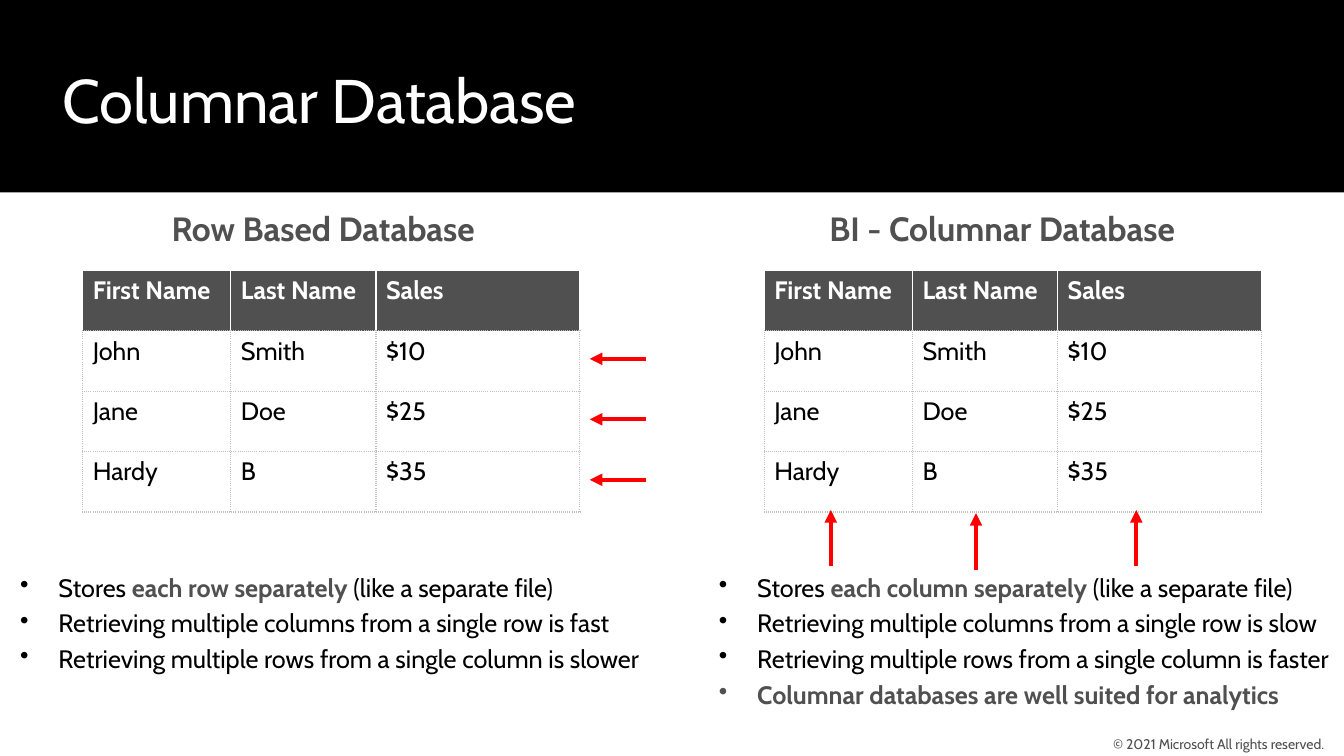
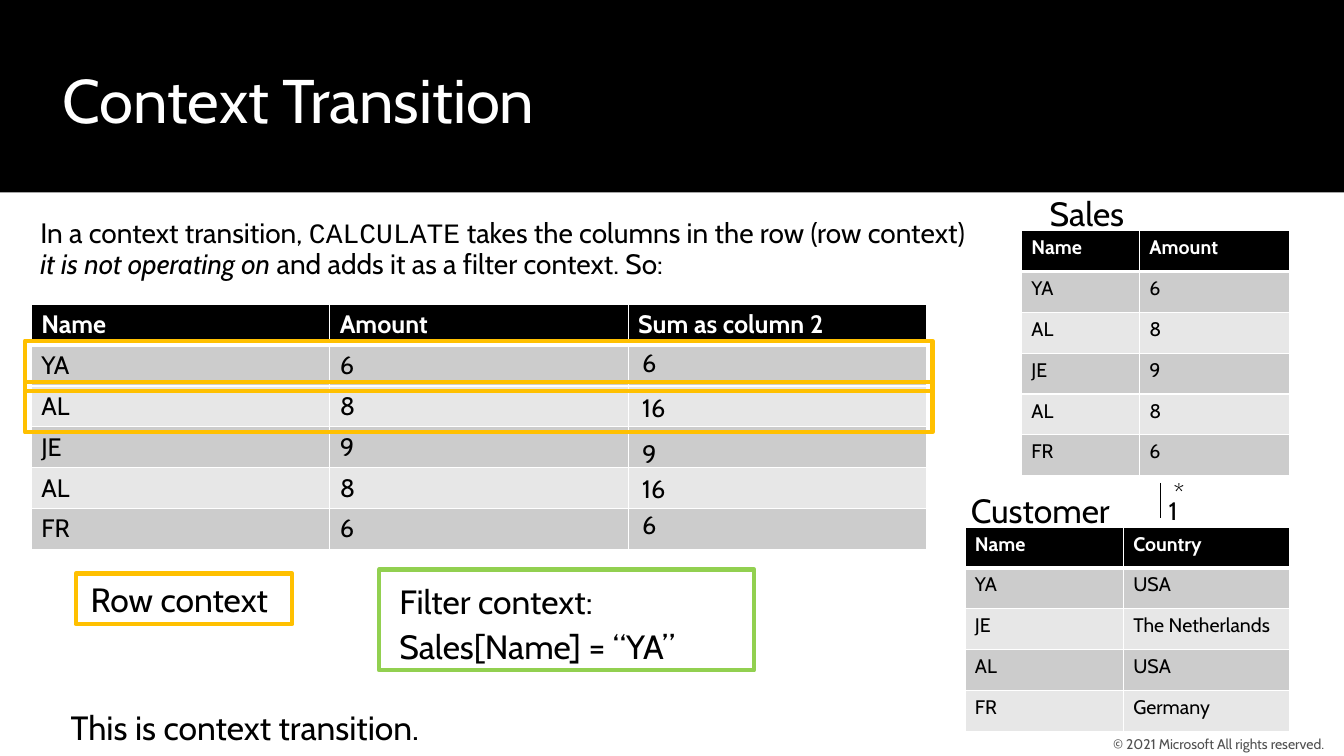
import pptx
import pptx.dml.color
import pptx.enum.shapes
import pptx.enum.text
import pptx.oxml
import pptx.oxml.ns
import pptx.util
from lxml import etree

Inches = pptx.util.Inches
RGBColor = pptx.dml.color.RGBColor
ALIGN = pptx.enum.text.PP_ALIGN
ANCHOR = pptx.enum.text.MSO_ANCHOR
qn = pptx.oxml.ns.qn

BLACK = RGBColor(0x00, 0x00, 0x00)
WHITE = RGBColor(0xFF, 0xFF, 0xFF)
GREY = RGBColor(0x50, 0x50, 0x50)
DOTTED_GREY = RGBColor(0xBF, 0xBF, 0xBF)
DARK_STRIPE = RGBColor(0xCC, 0xCC, 0xCC)
LIGHT_STRIPE = RGBColor(0xE7, 0xE7, 0xE7)
RED = RGBColor(0xFF, 0x00, 0x00)
AMBER = RGBColor(0xFF, 0xC0, 0x00)
GREEN = RGBColor(0x92, 0xD0, 0x50)

FONT = "Cabin"
CODE_FONT = "Courier New"
FOOTER = "© 2021 Microsoft All rights reserved."
STRONG = {"color": GREY, "bold": True}
PADDING = (0.2, 0.16, 0.2, 0.16)
BODY = {"insets": PADDING, "line_spacing": 0.9, "space_after": 6}

PEOPLE = [
    ("First Name", "Last Name", "Sales"),
    ("John", "Smith", "$10"),
    ("Jane", "Doe", "$25"),
    ("Hardy", "B", "$35"),
]
PEOPLE_COLUMNS = (1.47, 1.44, 2.02)
PEOPLE_ROW = 0.6
DATABASES = [
    {
        "heading": "Row Based Database", "heading_at": (0, 1.95, 6.41, 0.69),
        "table_left": 0.82, "list_at": (0, 5.55, 6.72, 1.58),
        "points": [
            [("Stores ", {}), ("each row separately ", STRONG), ("(like a separate file)", {})],
            "Retrieving multiple columns from a single row is fast",
            "Retrieving multiple rows from a single column is slower",
        ],
    },
    {
        "heading": "BI - Columnar Database", "heading_at": (7.39, 1.95, 5.1, 0.69),
        "table_left": 7.58, "list_at": (6.93, 5.55, 6.72, 1.94),
        "points": [
            [("Stores ", {}), ("each column separately ", STRONG), ("(like a separate file)", {})],
            "Retrieving multiple columns from a single row is slow",
            "Retrieving multiple rows from a single column is faster",
            [("Columnar databases are well suited for analytics", STRONG)],
        ],
    },
]
COLUMN_ARROWS = [(8.24, 5.06), (9.68, 5.09), (11.27, 5.06)]
ARROW_LENGTH = 0.56

SALES = [("Name", "Amount"), ("YA", "6"), ("AL", "8"), ("JE", "9"), ("AL", "8"), ("FR", "6")]
CUSTOMERS = [("Name", "Country"), ("YA", "USA"), ("JE", "The Netherlands"),
             ("AL", "USA"), ("FR", "Germany")]
SALES_SUMS = [("Name", "Amount", "Sum as column 2")] + [(*row, "") for row in SALES[1:]]
STRIPED_TABLES = [
    (SALES, (10.13, 2.29), (1.17, 1.49), 14),
    (CUSTOMERS, (9.57, 5.23), (1.57, 1.65), 14),
    (SALES_SUMS, (0.31, 3.02), (2.96, 2.96, 2.96), 18),
]
STRIPED_ROW = 2.43 / len(SALES)
INTRO = [[
    ("In a context transition, ", {}),
    ("CALCULATE", {"font": CODE_FONT}),
    (" takes the columns in the row (row context) ", {}),
    ("it is not operating on ", {"italic": True}),
    ("and adds it as a filter context. So:", {}),
]]
AMBER_FRAMES = [(0.25, 3.38, 9, 0.5), (0.25, 3.79, 9, 0.5), (0.75, 5.69, 2.15, 0.5)]
LABELS = [
    (["*"], (11.44, 4.63, 1, 0.6), 18),
    (["1"], (11.39, 4.81, 1, 0.6), 18),
    (["Sales"], (10.21, 1.8, 1.5, 0.6), 24),
    (["Customer"], (9.43, 4.75, 2, 0.6), 24),
    (["Row context"], (0.7, 5.63, 2.5, 0.6), 24),
    (["6"], (6.17, 3.34, 1, 0.6), 18),
    (["16"], (6.17, 3.79, 1, 0.6), 18),
    (["9", "16", "6"], (6.17, 4.22, 1, 1.4), 18),
    (["This is context transition."], (0.5, 6.9, 4.5, 0.6), 24),
]


def write_text(frame, paragraphs, size=18, color=BLACK, bold=False, align=ALIGN.LEFT,
               anchor=ANCHOR.TOP, insets=(0.1, 0.05, 0.1, 0.05), line_spacing=None,
               space_after=None, bullet=False):
    frame.word_wrap = True
    frame.vertical_anchor = anchor
    (frame.margin_left, frame.margin_top,
     frame.margin_right, frame.margin_bottom) = map(Inches, insets)
    for index, content in enumerate(paragraphs):
        para = frame.add_paragraph() if index else frame.paragraphs[0]
        para.alignment = align
        if line_spacing:
            para.line_spacing = line_spacing
        if space_after:
            para.space_after = pptx.util.Pt(space_after)
        if bullet:
            properties = para._p.get_or_add_pPr()
            properties.set("marL", str(Inches(0.38)))
            properties.set("indent", str(Inches(-0.38)))
            etree.SubElement(properties, qn("a:buChar")).set("char", "•")
        for text, style in [(content, {})] if isinstance(content, str) else content:
            span = para.add_run()
            span.text = text
            span.font.name = style.get("font", FONT)
            span.font.size = pptx.util.Pt(size)
            span.font.bold = style.get("bold", bold)
            span.font.italic = style.get("italic", False)
            span.font.color.rgb = style.get("color", color)


def add_text(page, at, paragraphs, **text_format):
    box = page.shapes.add_textbox(*map(Inches, at))
    write_text(box.text_frame, paragraphs, **text_format)


def add_rectangle(page, at, fill=None, line=None):
    box = page.shapes.add_shape(pptx.enum.shapes.MSO_SHAPE.RECTANGLE, *map(Inches, at))
    box.shadow.inherit = False
    if fill is None:
        box.fill.background()
    else:
        box.fill.solid()
        box.fill.fore_color.rgb = fill
    if line is None:
        box.line.fill.background()
    else:
        box.line.color.rgb = line
        box.line.width = pptx.util.Pt(3)
    return box


def add_line(page, start, end, color, width, arrow=False):
    line = page.shapes.add_connector(
        pptx.enum.shapes.MSO_CONNECTOR.STRAIGHT, *map(Inches, (*start, *end)))
    line.line.color.rgb = color
    line.line.width = pptx.util.Pt(width)
    if arrow:
        etree.SubElement(line.line._get_or_add_ln(), qn("a:tailEnd")).set("type", "triangle")
    etree.SubElement(line._element.spPr, qn("a:effectLst"))


def set_borders(cell, borders):
    properties = cell._tc.get_or_add_tcPr()
    for index, (side, (color, width, dash)) in enumerate(zip("LRTB", borders)):
        edge = etree.Element(qn("a:ln" + side), w=str(pptx.util.Pt(width)))
        fill = etree.SubElement(edge, qn("a:solidFill"))
        etree.SubElement(fill, qn("a:srgbClr")).set("val", str(color))
        etree.SubElement(edge, qn("a:prstDash")).set("val", dash)
        properties.insert(index, edge)


def add_table(page, rows, position, columns, row_height, size, header_fill,
              stripes, body_border, header_bottom):
    extent = (sum(columns), row_height * len(rows))
    table = page.shapes.add_table(
        len(rows), len(columns), *map(Inches, (*position, *extent))).table
    table.horz_banding = False
    for column, width in zip(table.columns, columns):
        column.width = Inches(width)
    white_border = (WHITE, 1, "solid")
    for row_index, row in enumerate(rows):
        header = row_index == 0
        table.rows[row_index].height = Inches(row_height)
        for column_index, text in enumerate(row):
            cell = table.cell(row_index, column_index)
            cell.fill.solid()
            cell.fill.fore_color.rgb = header_fill if header else stripes[(row_index - 1) % 2]
            top = header_bottom if row_index == 1 else body_border
            set_borders(cell, [white_border] * 3 + [header_bottom] if header
                        else [body_border] * 2 + [top, body_border])
            if text:
                write_text(cell.text_frame, [text], size=size, bold=header,
                           color=WHITE if header else BLACK)


def add_page(deck, title):
    page = deck.slides.add_slide(deck.slide_layouts[6])
    add_rectangle(page, (0, 0, 13.33, 1.91), fill=BLACK)
    add_text(page, (0.52, 0.57, 11.22, 0.84), [title], size=44, color=WHITE)
    add_text(page, (10.58, 7.26, 3.11, 0.24), [FOOTER], size=10, color=GREY,
             align=ALIGN.CENTER, anchor=ANCHOR.MIDDLE, insets=(0, 0, 0.1, 0))
    return page


def build_columnar_database(deck):
    page = add_page(deck, "Columnar Database")
    dotted = (DOTTED_GREY, 1, "sysDot")
    for database in DATABASES:
        add_table(page, PEOPLE, (database["table_left"], 2.68), PEOPLE_COLUMNS, PEOPLE_ROW,
                  18, GREY, (WHITE, WHITE), dotted, dotted)
        add_text(page, database["list_at"], database["points"], bullet=True, **BODY)
        add_text(page, database["heading_at"], [database["heading"]], size=24,
                 align=ALIGN.CENTER, **STRONG, **BODY)
    for index in range(len(PEOPLE) - 1):
        y = 3.56 + PEOPLE_ROW * index
        add_line(page, (5.85 + ARROW_LENGTH, y), (5.85, y), RED, 3, arrow=True)
    for x, y in COLUMN_ARROWS:
        add_line(page, (x, y + ARROW_LENGTH), (x, y), RED, 3, arrow=True)


def build_context_transition(deck):
    page = add_page(deck, "Context Transition")
    for rows, position, columns, size in STRIPED_TABLES:
        add_table(page, rows, position, columns, STRIPED_ROW, size, BLACK,
                  (DARK_STRIPE, LIGHT_STRIPE), (WHITE, 1, "solid"), (WHITE, 3, "solid"))
    add_line(page, (11.51, 4.79), (11.51, 5.14), BLACK, 0.75)
    add_text(page, (0.2, 2.02, 9.74, 1), INTRO, size=20, **BODY)
    for at in AMBER_FRAMES:
        add_rectangle(page, at, line=AMBER)
    filter_box = add_rectangle(page, (3.76, 5.65, 3.72, 1), line=GREEN)
    write_text(filter_box.text_frame, ["Filter context:", "Sales[Name] = “YA”"], size=24, **BODY)
    for paragraphs, at, size in LABELS:
        add_text(page, at, paragraphs, size=size, **BODY)


def main():
    deck = pptx.Presentation()
    deck.slide_width = Inches(13.33)
    deck.slide_height = Inches(7.5)
    build_columnar_database(deck)
    build_context_transition(deck)
    deck.save("out.pptx")


if __name__ == "__main__":
    main()
